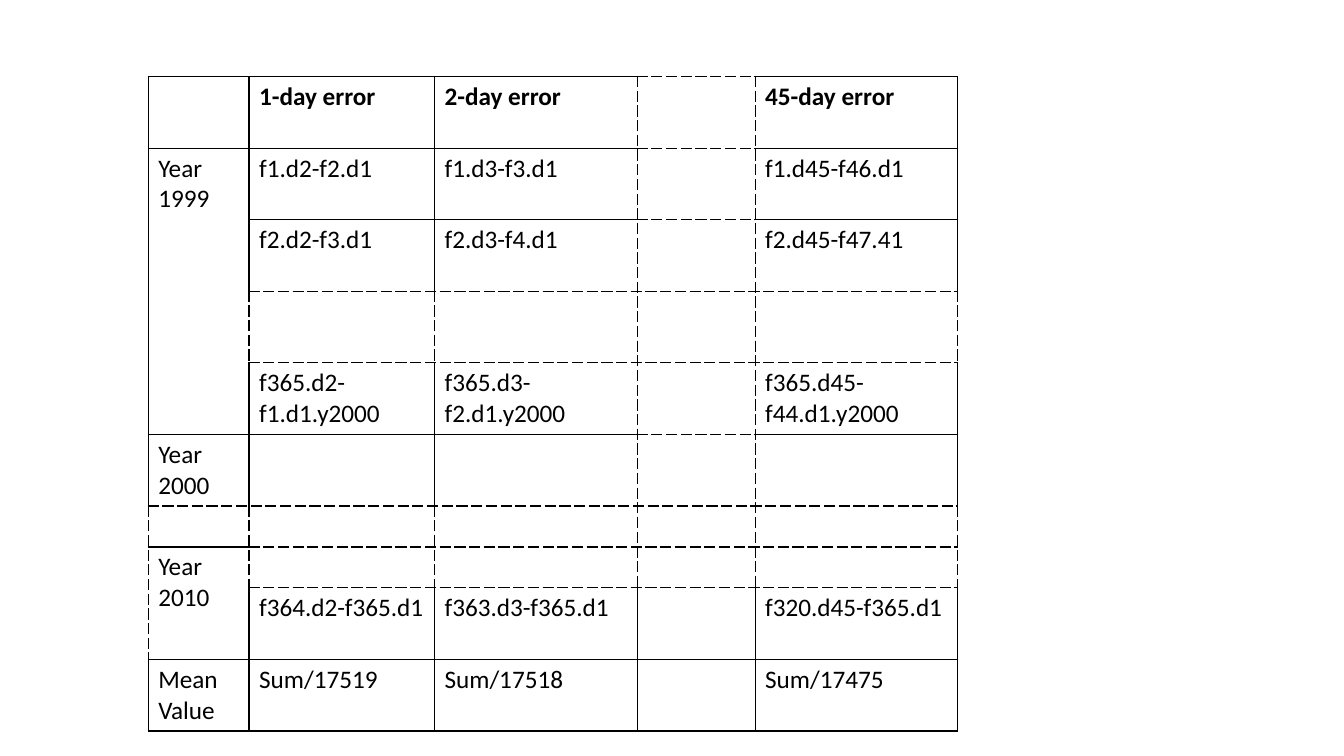
from lxml import etree
from pptx import Presentation
from pptx.dml.color import RGBColor
from pptx.oxml.ns import qn
from pptx.util import Inches, Pt

COLORS = {"ink": "000000", "paper": "FFFFFF"}
FONT = {"name": "Calibri", "size": Pt(18)}
SIDES = {"l": "a:lnL", "r": "a:lnR", "t": "a:lnT", "b": "a:lnB"}
LINE_WIDTH = Pt(1)

COLUMN_WIDTHS = [1, 1.84, 2.01, 1.17, 2.01]
ROW_HEIGHTS = [0.71] * 6 + [0.35] * 2 + [0.71] * 2
MERGES = [(1, 4), (7, 8)]
ERRORS = [
    ["", "1-day error", "2-day error", "", "45-day error"],
    ["Year 1999", "f1.d2-f2.d1", "f1.d3-f3.d1", "", "f1.d45-f46.d1"],
    ["", "f2.d2-f3.d1", "f2.d3-f4.d1", "", "f2.d45-f47.41"],
    [""] * 5,
    ["", "f365.d2-f1.d1.y2000", "f365.d3-f2.d1.y2000", "", "f365.d45-f44.d1.y2000"],
    ["Year\n2000", "", "", "", ""],
    [""] * 5,
    ["Year\n2010", "", "", "", ""],
    ["", "f364.d2-f365.d1", "f363.d3-f365.d1", "", "f320.d45-f365.d1"],
    ["Mean\nValue", "Sum/17519", "Sum/17518", "", "Sum/17475"],
]
ALL = "lrtb"
DASHED_SIDES = [
    ["", "", "r", ALL, "l"],
    ["", "", "r", ALL, "l"],
    ["", "b", "rb", ALL, "lb"],
    ["", ALL, ALL, ALL, ALL],
    ["", "t", "rt", ALL, "lt"],
    ["b", "b", "rb", ALL, "lb"],
    ["lrt", ALL, ALL, ALL, ALL],
    ["lr", ALL, ALL, ALL, ALL],
    ["lr", "t", "t", "t", "t"],
    [""] * 5,
]


class ErrorSlide:
    """Holds the style and the slide, and draws the forecast error table."""

    def __init__(self, prs):
        self.s = prs.slides.add_slide(prs.slide_layouts[6])

    def color(self, name):
        return RGBColor.from_string(COLORS[name])

    def borders(self, cell, dashed):
        tc_pr = cell._tc.get_or_add_tcPr()
        for side, tag in SIDES.items():
            ln = etree.SubElement(tc_pr, qn(tag), w=str(LINE_WIDTH))
            fill = etree.SubElement(ln, qn("a:solidFill"))
            etree.SubElement(fill, qn("a:srgbClr"), val=COLORS["ink"])
            dash = "sysDash" if side in dashed else "solid"
            etree.SubElement(ln, qn("a:prstDash"), val=dash)

    def text(self, cell, text, bold):
        tf = cell.text_frame
        tf.text = text
        for p in tf.paragraphs:
            for r in p.runs:
                for key, value in {**FONT, "bold": bold}.items():
                    setattr(r.font, key, value)
                r.font.color.rgb = self.color("ink")

    def table(self, left, top, rows, dashes):
        table = self.s.shapes.add_table(
            len(rows), len(COLUMN_WIDTHS), Inches(left), Inches(top),
            Inches(sum(COLUMN_WIDTHS)), Inches(sum(ROW_HEIGHTS))).table
        table.first_row = table.horz_banding = False
        for column, width in zip(table.columns, COLUMN_WIDTHS):
            column.width = Inches(width)
        for row, height in zip(table.rows, ROW_HEIGHTS):
            row.height = Inches(height)
        for i, (texts, sides) in enumerate(zip(rows, dashes)):
            for j, (text, dashed) in enumerate(zip(texts, sides)):
                cell = table.cell(i, j)
                self.borders(cell, dashed)
                cell.fill.solid()
                cell.fill.fore_color.rgb = self.color("paper")
                if text:
                    self.text(cell, text, bold=i == 0)
        for first, last in MERGES:
            table.cell(first, 0).merge(table.cell(last, 0))


def main():
    prs = Presentation()
    prs.slide_width, prs.slide_height = Inches(13.33), Inches(7.5)
    ErrorSlide(prs).table(1.47, 0.76, ERRORS, DASHED_SIDES)
    prs.save("out.pptx")


if __name__ == "__main__":
    main()
